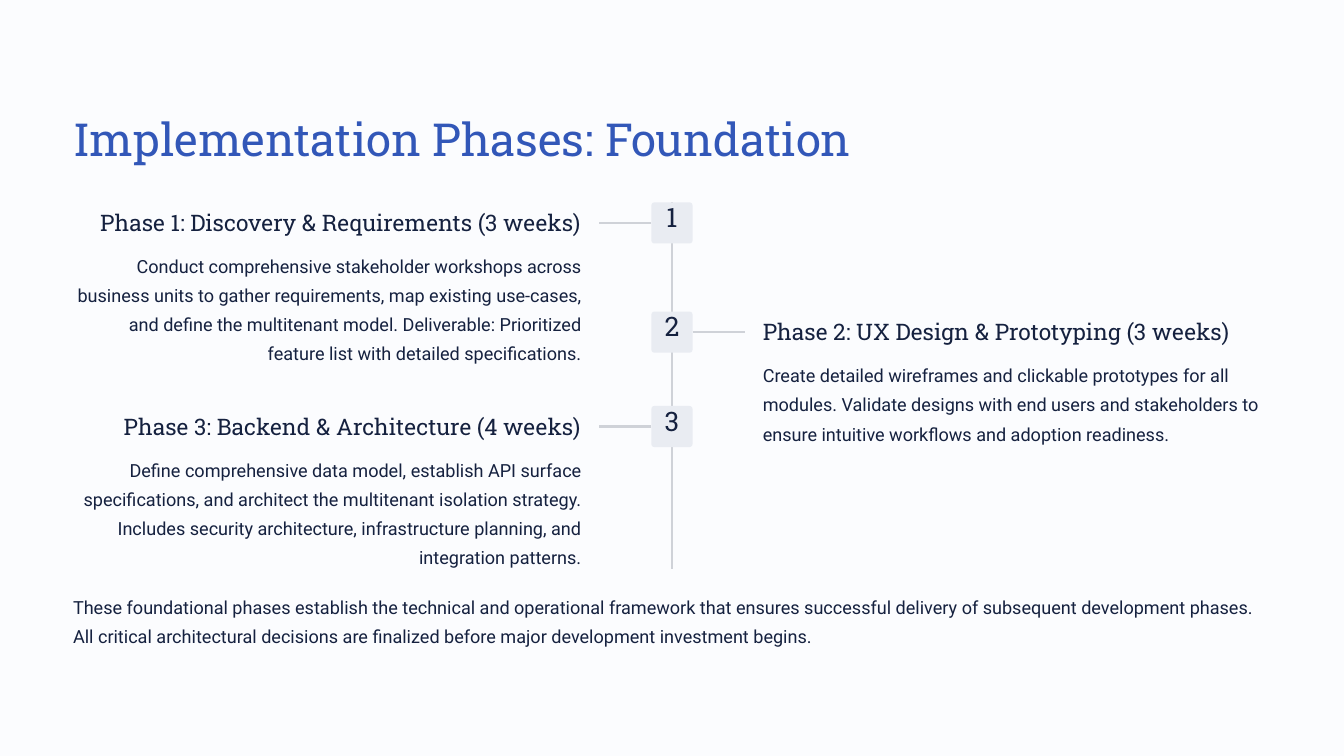
"""Build the slide on the foundation phases as a branching timeline."""
from lxml.etree import SubElement
from pptx import Presentation
from pptx.dml.color import RGBColor
from pptx.enum.shapes import MSO_CONNECTOR as Line, MSO_SHAPE as Shape
from pptx.enum.text import MSO_ANCHOR as Anchor, MSO_AUTO_SIZE as Auto, PP_ALIGN as Align
from pptx.oxml.ns import qn
from pptx.util import Pt

INK, BLUE, RULE, TILE, PAPER = "15213F", "3257B8", "CFD2D8", "E9ECF2", "FBFCFE"
SLAB, SANS = "Roboto Slab", "Roboto"
LEFT, WIDE, MID, SIDE = 62.6, 435.6, 576, 35.2
FAR = 2 * MID - LEFT - WIDE
HEAD = dict(font=SLAB, size=19.5, lead=24)
BODY = dict(font=SANS, size=15.5, lead=25)


def hue(code):
    return RGBColor.from_string(code)


def write(shape, text, font, size, lead, tint=INK, align=Align.LEFT, top=0, wrap=True):
    frame = shape.text_frame
    frame.auto_size = Auto.NONE
    frame.word_wrap = wrap
    frame.vertical_anchor = Anchor.TOP
    frame.margin_left = frame.margin_right = frame.margin_bottom = 0
    frame.margin_top = Pt(top)
    para = frame.paragraphs[0]
    para.alignment = align
    para.line_spacing = Pt(lead)
    run = para.add_run()
    run.text = text
    run.font.name = font
    run.font.size = Pt(size)
    run.font.color.rgb = hue(tint)


phases = [
    (173.5, "Phase 1: Discovery & Requirements (3 weeks)",
     "Conduct comprehensive stakeholder workshops across business units to gather "
     "requirements, map existing use-cases, and define the multitenant model. "
     "Deliverable: Prioritized feature list with detailed specifications.", 100),
    (267.1, "Phase 2: UX Design & Prototyping (3 weeks)",
     "Create detailed wireframes and clickable prototypes for all modules. Validate "
     "designs with end users and stakeholders to ensure intuitive workflows and "
     "adoption readiness.", 75),
    (348, "Phase 3: Backend & Architecture (4 weeks)",
     "Define comprehensive data model, establish API surface specifications, and "
     "architect the multitenant isolation strategy. Includes security architecture, "
     "infrastructure planning, and integration patterns.", 100),
]
closing = (
    "These foundational phases establish the technical and operational framework that "
    "ensures successful delivery of subsequent development phases. All critical "
    "architectural decisions are finalized before major development investment begins.")

deck = Presentation()
deck.slide_width, deck.slide_height = Pt(1152), Pt(648)
slide = deck.slides.add_slide(deck.slide_layouts[5])
slide.background.fill.solid()
slide.background.fill.fore_color.rgb = hue(PAPER)
shapes = slide.shapes

title = shapes.title
title.left, title.top, title.width, title.height = Pt(LEFT), Pt(93.6), Pt(680), Pt(49)
write(title, "Implementation Phases: Foundation", SLAB, 39, 48.5, BLUE, wrap=False)

lines = [(MID, 173.5, MID, 487.4)]
for step, (top, *rest) in enumerate(phases):
    turn = 1 if step % 2 else -1
    mid = top + SIDE / 2
    lines.append((MID + turn * SIDE / 2, mid, MID + turn * 62.6, mid))
for x1, y1, x2, y2 in lines:
    line = shapes.add_connector(Line.STRAIGHT, Pt(x1), Pt(y1), Pt(x2), Pt(y2))
    line.line.color.rgb = hue(RULE)
    line.line.width = Pt(2)
    SubElement(line._element.spPr, qn("a:effectLst"))

for step, (top, head, text, high) in enumerate(phases):
    left, align = (FAR, Align.LEFT) if step % 2 else (LEFT, Align.RIGHT)
    tile = shapes.add_shape(Shape.ROUNDED_RECTANGLE, Pt(MID - SIDE / 2), Pt(top), Pt(SIDE), Pt(SIDE))
    tile.adjustments[0] = 0.07
    tile.shadow.inherit = False
    tile.fill.solid()
    tile.fill.fore_color.rgb = hue(TILE)
    tile.line.fill.background()
    write(tile, str(step + 1), SLAB, 23, 23, align=Align.CENTER, top=2.4)
    box = shapes.add_textbox(Pt(left), Pt(top + 5.1), Pt(WIDE), Pt(24.5))
    write(box, head, align=align, **HEAD)
    box = shapes.add_textbox(Pt(left), Pt(top + 39), Pt(WIDE), Pt(high))
    write(box, text, align=align, **BODY)

box = shapes.add_textbox(Pt(LEFT), Pt(504.7), Pt(1026.8), Pt(50))
write(box, closing, **BODY)

deck.save("out.pptx")
